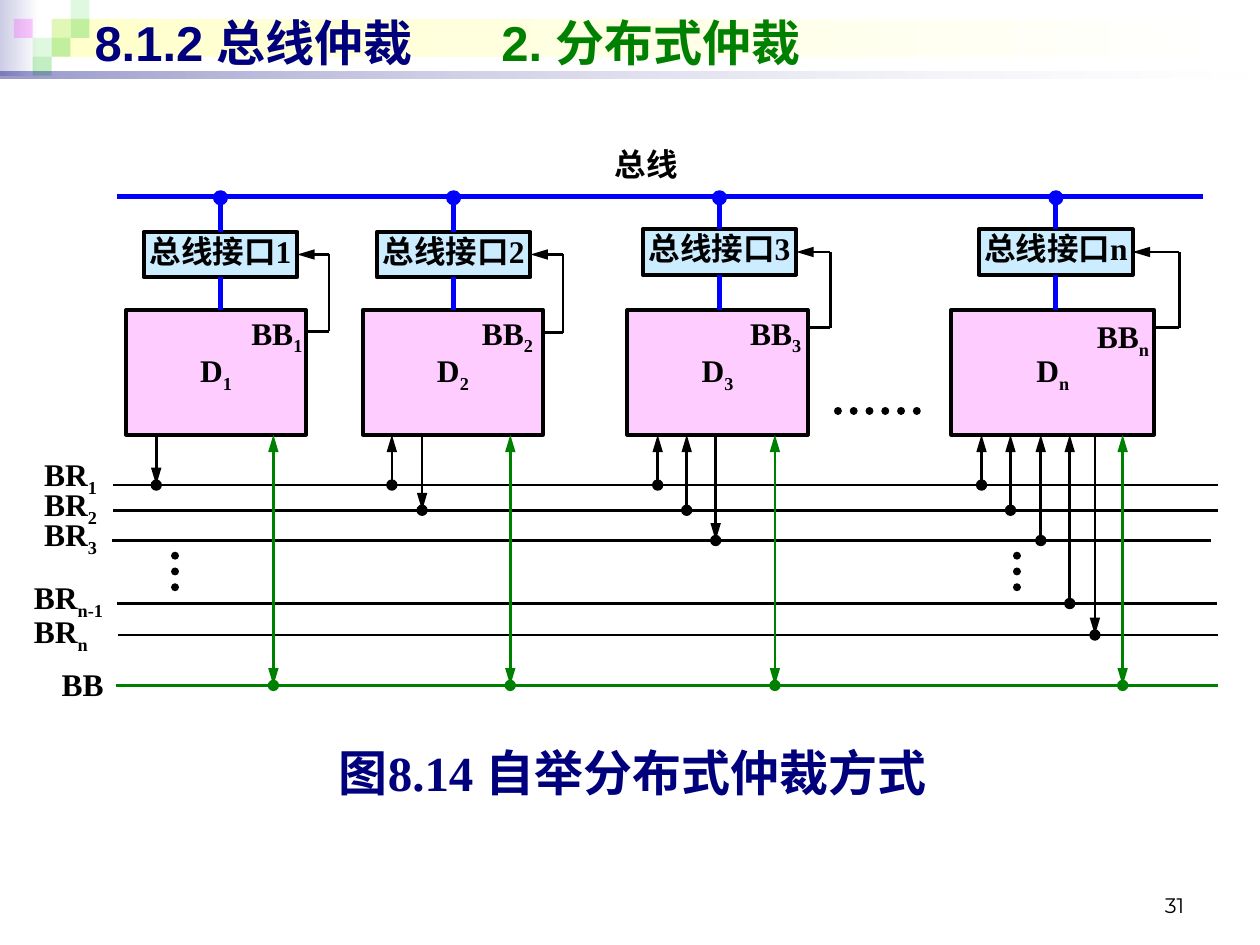
from dataclasses import dataclass
from typing import Optional

from lxml.etree import SubElement
from pptx import Presentation
from pptx.dml.color import RGBColor
from pptx.enum.dml import MSO_LINE
from pptx.enum.shapes import MSO_CONNECTOR, MSO_SHAPE
from pptx.enum.text import MSO_ANCHOR, PP_ALIGN
from pptx.oxml.ns import qn
from pptx.util import Inches, Pt


@dataclass(frozen=True)
class Theme:
    navy: str = "00007D"
    green: str = "008000"
    black: str = "000000"
    white: str = "FFFFFF"
    blue: str = "0000FF"
    pink: str = "FFCCFF"
    sky: str = "CCECFF"
    serif: str = "Times New Roman"
    heading: int = 28
    label: int = 18
    number: int = 12
    thin: float = 1.5
    outline: float = 2.25
    thick: float = 3
    dotted: float = 4.5


@dataclass(frozen=True)
class Device:
    """One bus device; taps[k] meets request line k, and the last tap drives it."""
    name: str
    left: float
    width: float
    stem: float
    interface_top: float
    return_x: float
    return_y: float
    label_right: float
    taps: tuple[float, ...]
    busy: float


THEME = Theme()
BUS_Y, BUSY_Y = 1.56, 5.44
UNIT_TOP, UNIT_HEIGHT = 2.46, 0.99
UNIT_BOTTOM = UNIT_TOP + UNIT_HEIGHT
INTERFACE_WIDTH, INTERFACE_HEIGHT = 1.22, 0.36
# left, right, height on the page
REQUEST_LINES = [(0.9, 9.67, 3.85), (0.9, 9.67, 4.05), (0.89, 9.61, 4.29),
                 (0.93, 9.66, 4.79), (0.94, 9.67, 5.04)]
DEVICES = [
    Device("1", 1, 1.43, 1.75, 1.84, 2.61, 2.63, 2.4, (1.24,), 2.17),
    Device("2", 2.88, 1.43, 3.6, 1.84, 4.47, 2.64, 4.23, (3.11, 3.35), 4.05),
    Device("3", 4.98, 1.43, 5.71, 1.82, 6.59, 2.6, 6.36, (5.22, 5.45, 5.68), 6.15),
    Device("n", 7.55, 1.61, 8.38, 1.82, 9.36, 2.6, 9.12,
           (7.79, 8.02, 8.26, 8.49, 8.69), 8.91),
]

deck = Presentation()
deck.slide_width, deck.slide_height = Inches(10), Inches(7.5)
page = deck.slides.add_slide(deck.slide_layouts[5])


def set_font(span, size: float, color: str, font: str = THEME.serif, bold: bool = True) -> None:
    span.font.size, span.font.name, span.font.bold = Pt(size), font, bold
    span.font.color.rgb = RGBColor.from_string(color)


def write(box, lines: list[str], align: PP_ALIGN, size: float = THEME.label,
          color: str = THEME.black, spacing: Optional[float] = None,
          anchor: MSO_ANCHOR = MSO_ANCHOR.TOP) -> None:
    """Fill a box with lines; the part of a line after "_" becomes a subscript."""
    frame = box.text_frame
    frame.word_wrap, frame.vertical_anchor = True, anchor
    frame.margin_left = frame.margin_right = frame.margin_top = frame.margin_bottom = 0
    frame.text = "\n".join(line.split("_")[0] for line in lines)
    for para, line in zip(frame.paragraphs, lines):
        para.alignment, para.line_spacing = align, spacing
        if "_" in line:
            para.add_run().text = line.split("_")[1]
        for index, span in enumerate(para.runs):
            set_font(span, size, color)
            if index:
                span.font._element.set("baseline", "-25000")


def add_text(left: float, top: float, width: float, height: float):
    return page.shapes.add_textbox(Inches(left), Inches(top), Inches(width), Inches(height))


def add_block(left: float, top: float, width: float, height: float, fill: str,
              outline: float = 0, kind: MSO_SHAPE = MSO_SHAPE.RECTANGLE,
              line: str = THEME.black):
    box = page.shapes.add_shape(kind, Inches(left), Inches(top), Inches(width), Inches(height))
    box.shadow.inherit = False
    box.fill.solid()
    box.fill.fore_color.rgb = RGBColor.from_string(fill)
    if outline:
        box.line.width = Pt(outline)
        box.line.color.rgb = RGBColor.from_string(line)
    else:
        box.line.fill.background()
    return box


def add_dot(x: float, y: float, color: str, size: float = 0.08) -> None:
    add_block(x - size / 2, y - size / 2, size, size, color, 0.75,
              MSO_SHAPE.FLOWCHART_CONNECTOR, color)


def add_line(x1: float, y1: float, x2: float, y2: float, color: str = THEME.black,
             width: float = THEME.thin, ends: tuple[str, ...] = ()):
    line = page.shapes.add_connector(MSO_CONNECTOR.STRAIGHT, Inches(x1), Inches(y1),
                                     Inches(x2), Inches(y2))
    line.line.width = Pt(width)
    line.line.color.rgb = RGBColor.from_string(color)
    for end in ends:
        SubElement(line.line._get_or_add_ln(), qn(f"a:{end}"), type="triangle", w="med", len="lg")
    SubElement(line._element.spPr, qn("a:effectLst"))
    return line


def add_ellipsis(x1: float, y1: float, x2: float, y2: float) -> None:
    line = add_line(x1, y1, x2, y2, width=THEME.dotted).line
    line.dash_style = MSO_LINE.ROUND_DOT
    line._get_or_add_ln().set("cap", "rnd")


def set_alpha(box, percents: list[int]) -> None:
    colors = box._element.spPr.iter(qn("a:srgbClr"))
    for color, percent in zip(list(colors), percents):
        SubElement(color, qn("a:alpha"), val=str(percent * 1000))


def add_gradient(left: float, top: float, width: float, height: float, color: str,
                 alphas: tuple[int, ...] = ()) -> None:
    """Draw a band that fades from color at the left to white at the right."""
    band = add_block(left, top, width, height, color)
    band.fill.gradient()
    band.fill.gradient_angle = 180
    for stop, shade in zip(band.fill.gradient_stops, (THEME.white, color)):
        stop.color.rgb = RGBColor.from_string(shade)
    set_alpha(band, list(alphas))


def draw_header() -> None:
    add_gradient(0, 0, 0.31, 0.6, "CCCCE6")
    add_gradient(0.41, 0.15, 9.55, 0.3, "FFFFCC")
    step = 0.15
    for column, row, color, alpha in [
            (2, 1, "33CC33", 15), (3, 0, "33CC33", 15), (3, 1, "33CC33", 30),
            (1, 2, "33CC33", 15), (0, 1, "FF00FF", 20), (2, 2, "33CC33", 30),
            (1, 3, "33CC33", 30)]:
        set_alpha(add_block(0.11 + column * step, row * step, step, step, color), [alpha])
    add_gradient(0, 0.57, 10, 0.05, THEME.navy, (10, 40))

    title = page.shapes.title
    page.shapes._spTree.append(title._element)
    title.left, title.top, title.width, title.height = map(Inches, (0.65, 0.05, 9, 0.57))
    title.text_frame.vertical_anchor = MSO_ANCHOR.MIDDLE
    para = title.text_frame.paragraphs[0]
    para.text = "8.1.2 总线仲裁\t"
    para.add_run().text = "2. 分布式仲裁"
    para.alignment = PP_ALIGN.LEFT
    tabs = SubElement(para._p.get_or_add_pPr(), qn("a:tabLst"))
    SubElement(tabs, qn("a:tab"), pos=str(Inches(3.23)), algn="l")
    for span, color in zip(para.runs, (THEME.navy, THEME.green)):
        set_font(span, THEME.heading, color, "Arial")


def draw_device(device: Device) -> None:
    unit = add_block(device.left, UNIT_TOP, device.width, UNIT_HEIGHT, THEME.pink, THEME.outline)
    write(unit, [f"D_{device.name}"], PP_ALIGN.CENTER, anchor=MSO_ANCHOR.MIDDLE)
    write(add_text(device.label_right - 0.7, 2.57, 0.7, 0.23), [f"BB_{device.name}"],
          PP_ALIGN.RIGHT, spacing=0.72 if device.name == "n" else 0.62)

    interface = add_block(device.stem - INTERFACE_WIDTH / 2, device.interface_top,
                          INTERFACE_WIDTH, INTERFACE_HEIGHT, THEME.sky, THEME.outline)
    write(interface, [f"总线接口{device.name}"], PP_ALIGN.CENTER)
    bottom = device.interface_top + INTERFACE_HEIGHT
    middle = device.interface_top + INTERFACE_HEIGHT / 2
    add_line(device.stem, BUS_Y, device.stem, device.interface_top, THEME.blue,
             THEME.thick).end_connect(interface, 0)
    add_line(device.stem, bottom, device.stem, UNIT_TOP, THEME.blue,
             THEME.thick).begin_connect(interface, 2)
    add_dot(device.stem, BUS_Y + 0.01, THEME.blue, 0.11)

    add_line(device.left + device.width, device.return_y, device.return_x, device.return_y)
    add_line(device.return_x, device.return_y, device.return_x, middle)
    add_line(device.return_x, middle, device.stem + INTERFACE_WIDTH / 2, middle,
             ends=("tailEnd",)).end_connect(interface, 3)

    for x, (_, _, y) in zip(device.taps, REQUEST_LINES):
        driven = x == device.taps[-1]
        add_line(x, y, x, UNIT_BOTTOM, ends=("headEnd" if driven else "tailEnd",))
        add_dot(x, y, THEME.black)
    add_line(device.busy, UNIT_BOTTOM, device.busy, BUSY_Y, THEME.green,
             ends=("headEnd", "tailEnd"))
    add_dot(device.busy, BUSY_Y, THEME.green)


def draw_labels() -> None:
    write(add_block(4.88, 1.15, 0.65, 0.36, THEME.white), ["总线"], PP_ALIGN.JUSTIFY)
    write(add_text(0.35, 3.67, 0.87, 0.79), ["BR_1", "BR_2", "BR_3"], PP_ALIGN.JUSTIFY, spacing=0.7)
    write(add_text(0.27, 4.62, 0.87, 0.55), ["BR_n-1", "BR_n"], PP_ALIGN.JUSTIFY, spacing=0.8)
    write(add_block(0.49, 5.23, 0.4, 0.4, THEME.white), ["BB"], PP_ALIGN.JUSTIFY,
          anchor=MSO_ANCHOR.MIDDLE)
    write(add_block(2.13, 5.82, 5.78, 0.61, THEME.white), ["图8.14 自举分布式仲裁方式"],
          PP_ALIGN.CENTER, THEME.heading, THEME.navy, anchor=MSO_ANCHOR.MIDDLE)
    number = add_text(7.17, 6.83, 2.23, 0.45)
    write(number, ["31"], PP_ALIGN.RIGHT, anchor=MSO_ANCHOR.BOTTOM)
    set_font(number.text_frame.paragraphs[0].runs[0], THEME.number, THEME.black, "Montserrat", False)


draw_header()
draw_labels()
add_line(0.93, BUS_Y, 9.55, BUS_Y, THEME.blue, THEME.thick)
for left, right, y in REQUEST_LINES:
    add_line(left, y, right, y)
add_line(0.92, BUSY_Y, 9.67, BUSY_Y, THEME.green)
for device in DEVICES:
    draw_device(device)
add_ellipsis(6.65, 3.26, 7.32, 3.26)
for x in (1.39, 8.07):
    add_ellipsis(x, 4.41, x, 4.74)
deck.save("out.pptx")
